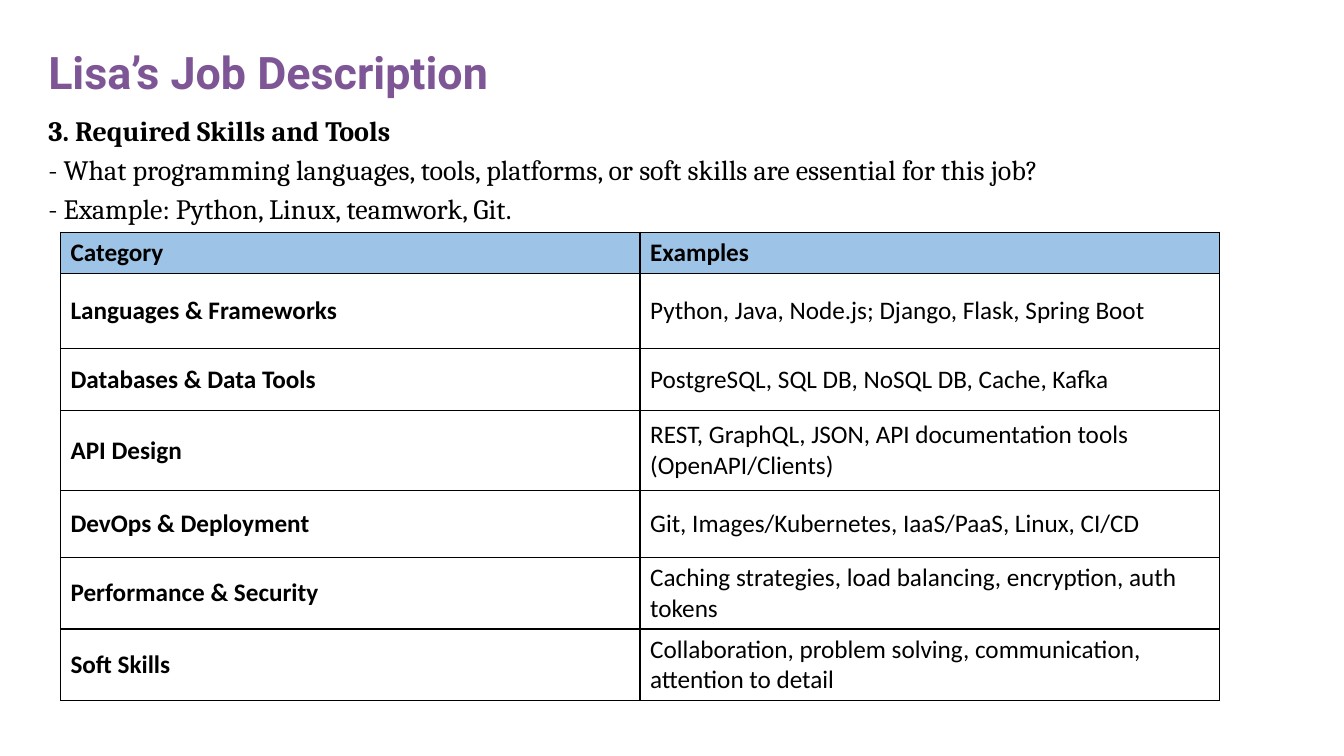
from lxml.etree import SubElement
from pptx import Presentation
from pptx.dml.color import RGBColor
from pptx.enum.text import MSO_ANCHOR as Anchor
from pptx.oxml.ns import qn
from pptx.util import Pt

PURPLE = RGBColor(0x7E, 0x56, 0x96)
BLACK = RGBColor(0, 0, 0)
HEADER_BLUE = RGBColor(0x9D, 0xC3, 0xE6)

INTRO = [
    "3. Required Skills and Tools",
    "- What programming languages, tools, platforms, or soft skills are essential for this job?",
    "- Example: Python, Linux, teamwork, Git.",
]
SKILLS = [
    ("Category", "Examples", 29.2),
    ("Languages & Frameworks", "Python, Java, Node.js; Django, Flask, Spring Boot", 54),
    ("Databases & Data Tools", "PostgreSQL, SQL DB, NoSQL DB, Cache, Kafka", 43.9),
    ("API Design", "REST, GraphQL, JSON, API documentation tools (OpenAPI/Clients)", 57.6),
    ("DevOps & Deployment", "Git, Images/Kubernetes, IaaS/PaaS, Linux, CI/CD", 47.7),
    ("Performance & Security", "Caching strategies, load balancing, encryption, auth tokens", 51.1),
    ("Soft Skills", "Collaboration, problem solving, communication, attention to detail", 51.1),
]


def add_run(p, text, font, size, color, bold):
    """Append one styled run to a paragraph."""
    r = p.add_run()
    r.text = text
    r.font.name, r.font.size, r.font.bold = font, Pt(size), bold
    r.font.color.rgb = color


def add_text_box(s, box, anchor, line_spacing):
    """Add a wrapping text box and return its first paragraph."""
    tf = s.shapes.add_textbox(*map(Pt, box)).text_frame
    tf.word_wrap = True
    tf.vertical_anchor = anchor
    p = tf.paragraphs[0]
    p.line_spacing = line_spacing
    return p


def add_title(s, box):
    """Place the slide title at the bottom of its box."""
    p = add_text_box(s, box, Anchor.BOTTOM, 0.9)
    add_run(p, "Lisa’s Job Description", "Roboto", 32, PURPLE, True)


def add_intro(s, box):
    """Place the section heading with its two prompts."""
    p = add_text_box(s, box, Anchor.TOP, 1.15)
    p.space_after = Pt(10)
    for i, line in enumerate(INTRO):
        if i:
            p.add_line_break()
        add_run(p, line, "Cambria", 20, BLACK, i == 0)


def set_borders(cell):
    """Draw a thin black line on all sides of a cell."""
    tc_pr = cell._tc.get_or_add_tcPr()
    for i, side in enumerate(("lnL", "lnR", "lnT", "lnB")):
        ln = tc_pr.makeelement(qn(f"a:{side}"), {"w": str(Pt(1))})
        fill = SubElement(ln, qn("a:solidFill"))
        SubElement(fill, qn("a:srgbClr"), val=str(BLACK))
        tc_pr.insert(i, ln)


def add_skills_table(s, box):
    """Place the two-column table of skill categories and examples."""
    table = s.shapes.add_table(len(SKILLS), 2, *map(Pt, box)).table
    table.horz_banding = False
    for col in table.columns:
        col.width = Pt(box[2] / 2)
    for i, (category, examples, height) in enumerate(SKILLS):
        table.rows[i].height = Pt(height)
        for j, text in enumerate((category, examples)):
            cell = table.cell(i, j)
            cell.vertical_anchor = Anchor.MIDDLE
            if i == 0:
                cell.fill.solid()
                cell.fill.fore_color.rgb = HEADER_BLUE
            else:
                cell.fill.background()
            set_borders(cell)
            p = cell.text_frame.paragraphs[0]
            add_run(p, text, "Calibri", 18, BLACK, i == 0 or j == 0)


def main():
    """Build the slide and save it."""
    prs = Presentation()
    prs.slide_width, prs.slide_height = Pt(960), Pt(540)
    s = prs.slides.add_slide(prs.slide_layouts[6])
    add_intro(s, (27.4, 74.2, 910.8, 128.9))
    add_title(s, (27.4, 19.4, 828, 54.7))
    add_skills_table(s, (43.2, 165.9, 828, sum(row[2] for row in SKILLS)))
    prs.save("out.pptx")


if __name__ == "__main__":
    main()
